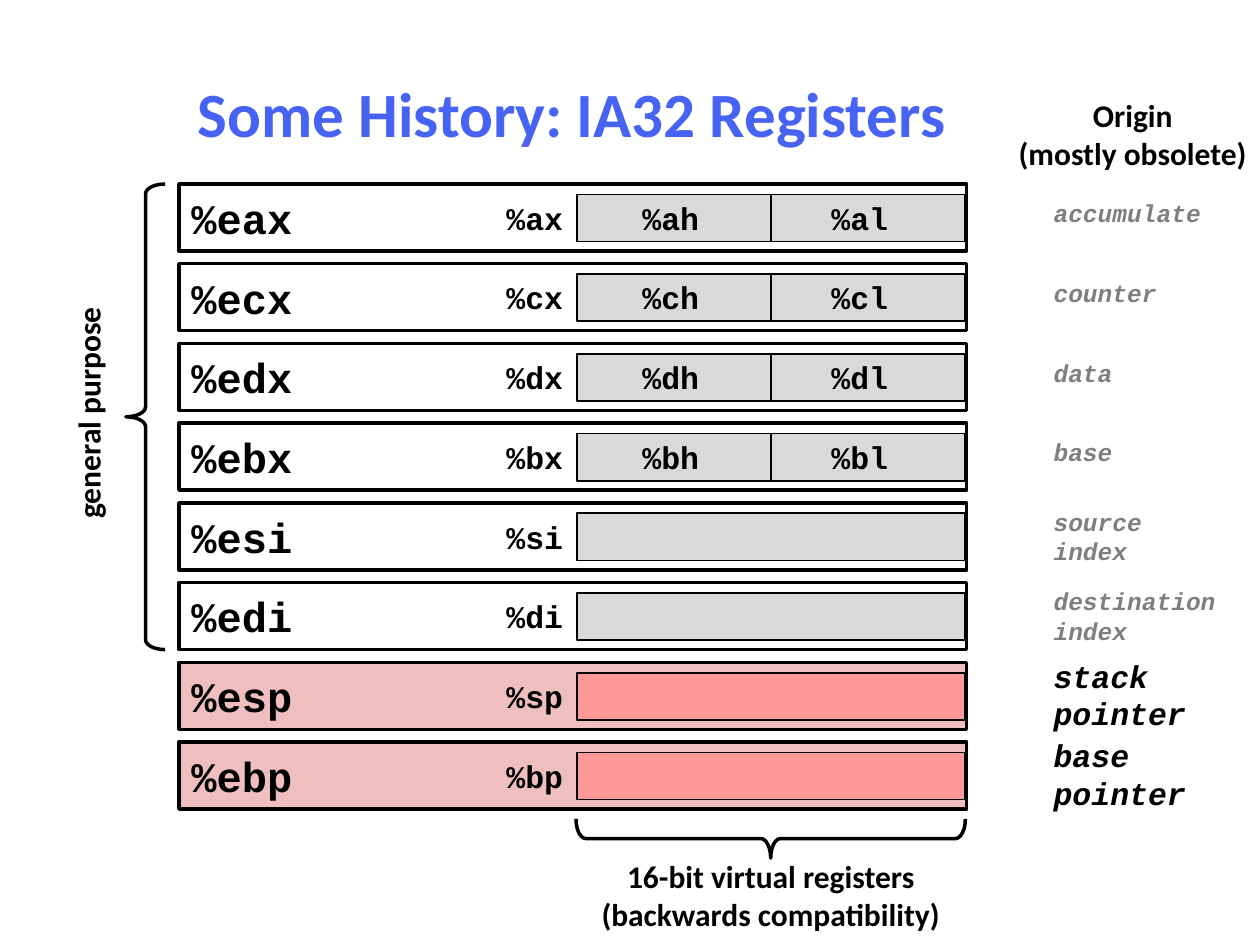
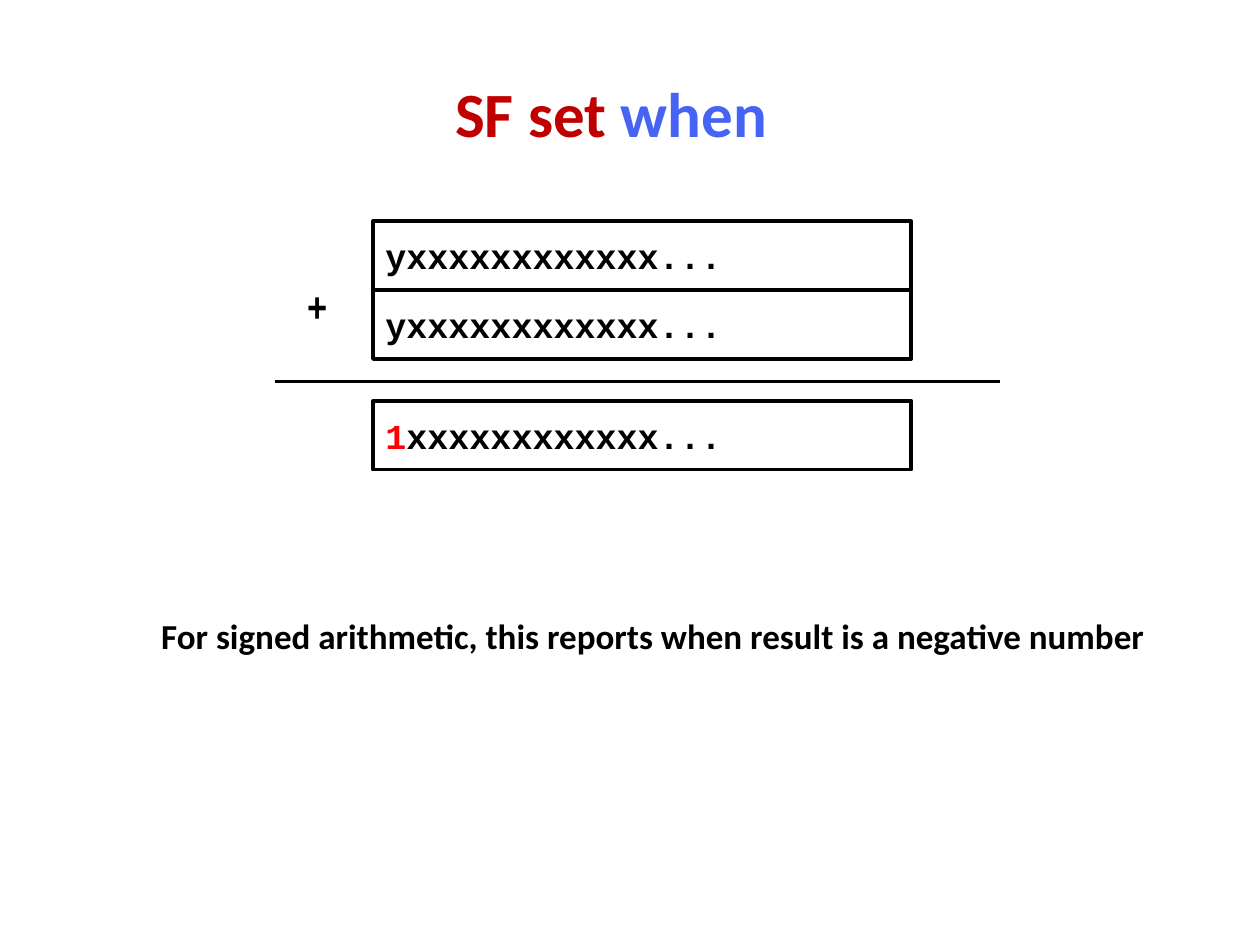
from lxml import etree
from pptx import Presentation
from pptx.dml.color import RGBColor
from pptx.enum.shapes import MSO_CONNECTOR, MSO_SHAPE
from pptx.enum.text import MSO_ANCHOR, PP_ALIGN
from pptx.oxml.ns import qn
from pptx.util import Cm, Pt

RECT, LEFT_BRACE, RIGHT_BRACE = (
    MSO_SHAPE.RECTANGLE, MSO_SHAPE.LEFT_BRACE, MSO_SHAPE.RIGHT_BRACE)
STRAIGHT = MSO_CONNECTOR.STRAIGHT
LEFT, CENTER = PP_ALIGN.LEFT, PP_ALIGN.CENTER
TOP, MIDDLE = MSO_ANCHOR.TOP, MSO_ANCHOR.MIDDLE

BLACK = RGBColor(0x00, 0x00, 0x00)
WHITE = RGBColor(0xFF, 0xFF, 0xFF)
BLUE = RGBColor(0x47, 0x63, 0xF3)
DARK_RED = RGBColor(0xC0, 0x00, 0x00)
RED = RGBColor(0xFF, 0x00, 0x00)
GRAY = RGBColor(0x7F, 0x7F, 0x7F)
LIGHT_GRAY = RGBColor(0xD9, 0xD9, 0xD9)
PINK = RGBColor(0xEF, 0xBF, 0xBF)
SALMON = RGBColor(0xFF, 0x99, 0x99)

SANS, MONO, NARROW = "Calibri", "Courier New", "Arial Narrow"

# 32-bit name, 16-bit name, byte halves, origin lines
REGISTERS = [
    ("%eax", "%ax", ("%ah", "%al"), ["accumulate"]),
    ("%ecx", "%cx", ("%ch", "%cl"), ["counter"]),
    ("%edx", "%dx", ("%dh", "%dl"), ["data"]),
    ("%ebx", "%bx", ("%bh", "%bl"), ["base"]),
    ("%esi", "%si", (), ["source", "index"]),
    ("%edi", "%di", (), ["destination", "index"]),
    ("%esp", "%sp", (), ["stack", "pointer"]),
    ("%ebp", "%bp", (), ["base", "pointer"]),
]
GENERAL_COUNT = 6
ROW_H = 1.35


def write(shape, lines, size, font=SANS, align=LEFT, anchor=TOP, italic=False):
    """Each line is a string (black) or a list of (text, colour) runs."""
    tf = shape.text_frame
    tf.word_wrap = align == LEFT
    tf.vertical_anchor = anchor
    for i, line in enumerate(lines):
        p = tf.add_paragraph() if i else tf.paragraphs[0]
        p.alignment = align
        for text, color in [(line, BLACK)] if isinstance(line, str) else line:
            r = p.add_run()
            r.text = text
            r.font.name, r.font.size = font, Pt(size)
            r.font.bold, r.font.italic = True, italic
            r.font.color.rgb = color


def add_text(s, x, y, w, h, lines, size, **style):
    tb = s.shapes.add_textbox(Cm(x), Cm(y), Cm(w), Cm(h))
    write(tb, lines, size, **style)
    return tb


def add_outlined(s, kind, x, y, w, h, fill=None, width=2):
    sp = s.shapes.add_shape(kind, Cm(x), Cm(y), Cm(w), Cm(h))
    sp.shadow.inherit = False
    if fill is None:
        sp.fill.background()
    else:
        sp.fill.solid()
        sp.fill.fore_color.rgb = fill
    sp.line.color.rgb = BLACK
    sp.line.width = Pt(width)
    return sp


def add_line(s, x1, y1, x2, y2, width):
    line = s.shapes.add_connector(STRAIGHT, Cm(x1), Cm(y1), Cm(x2), Cm(y2))
    line.line.color.rgb = BLACK
    line.line.width = Pt(width)
    etree.SubElement(line._element.spPr, qn("a:effectLst"))
    return line


def add_brace(s, kind, x, y, w, h, rotation=0):
    sp = add_outlined(s, kind, x, y, w, h)
    sp.adjustments[0] = 0.25
    sp.rotation = rotation


def add_title(s, x, runs):
    add_text(s, x, 1.22, 21.08, 2.1, [runs], 36, align=CENTER, anchor=MIDDLE)


def register_row(s, x, y, w, register, general):
    name, word, halves, origin = register
    row = add_outlined(s, RECT, x, y, w, ROW_H, WHITE if general else PINK)
    write(row, [name], 24, font=MONO, anchor=MIDDLE)

    # 16-bit part, split in two bytes where they have names
    bar = add_outlined(s, RECT, x + 8.02, y + 0.21, 7.82, 0.95,
                       LIGHT_GRAY if general else SALMON, 1)
    if halves:
        mid = x + 8.02 + 7.82 / 2
        line = add_line(s, mid, y + 0.21, mid, y + 1.16, 1)
        line.begin_connect(bar, 0)
        line.end_connect(bar, 2)
    for dx, label in zip((6.35, 9.09, 12.9), (word, *halves)):
        add_text(s, x + dx, y + 0.17, 1.85, 1.02, [label], 18, font=MONO)

    # Origin of the name
    dy = 0.16 if len(origin) == 1 else -0.05 if general else -0.24
    color, size = (GRAY, 14) if general else (BLACK, 18)
    add_text(s, x + 17.38, y + dy, 4.2, 1, [[(t, color)] for t in origin],
             size, font=MONO, italic=True)


def register_chart(s, x, y, w, h):
    pitch = (h - ROW_H) / (len(REGISTERS) - 1)
    for i, register in enumerate(REGISTERS):
        register_row(s, x, y + i * pitch, w, register, i < GENERAL_COUNT)

    # General purpose group on the left
    group_h = (GENERAL_COUNT - 1) * pitch + ROW_H
    add_brace(s, LEFT_BRACE, x - 1.07, y, 0.79, group_h)
    label = add_text(s, x - 4.22, y + group_h / 2 - 0.59, 4.78, 1.02,
                     ["general purpose"], 18, align=CENTER)
    label.rotation = 270

    # 16-bit group below, a brace turned to point down
    mid = x + 8.02 + 7.82 / 2
    add_brace(s, RIGHT_BRACE, mid - 0.4, y + h + 0.59 - 3.92, 0.79, 7.85, 90)
    add_text(s, mid - 3.67, y + h + 0.84, 7.34, 1.78,
             ["16-bit virtual registers", "(backwards compatibility)"],
             18, align=CENTER)

    # Heading of the origin column
    add_text(s, x + 16.66, y - 1.9, 5.13, 1.78,
             ["Origin", "(mostly obsolete)"], 18, align=CENTER)


def addition(s, x, y, w):
    operand = "yxxxxxxxxxxxx..."
    result = [("1", RED), ("xxxxxxxxxxxx...", BLACK)]
    for dy, bits in ((0, operand), (1.39, operand), (3.62, result)):
        box = add_outlined(s, RECT, x, y + dy, w, 1.39)
        write(box, [bits], 20, font=MONO, anchor=MIDDLE)
    add_text(s, x - 1.58, y + 1.07, 1.27, 1.27, ["+"], 24, font=NARROW)
    add_line(s, x - 1.98, y + 3.23, x + w + 1.78, y + 3.23, 2)


def registers_slide(prs):
    s = prs.slides.add_slide(prs.slide_layouts[6])
    add_title(s, 0.99, [("Some History: IA32 Registers", BLUE)])
    register_chart(s, 3.61, 3.71, 15.88, 12.6)


def sign_flag_slide(prs):
    s = prs.slides.add_slide(prs.slide_layouts[6])
    add_title(s, 1.78, [("SF set ", DARK_RED), ("when", BLUE)])
    addition(s, 7.52, 4.46, 10.85)
    add_text(s, 3, 12.27, 21.5, 1.12,
             ["For signed arithmetic, this reports when result is a negative number"], 20)


def main():
    prs = Presentation()
    prs.slide_width, prs.slide_height = Cm(25.4), Cm(19.05)
    registers_slide(prs)
    sign_flag_slide(prs)
    prs.save("out.pptx")


if __name__ == "__main__":
    main()
